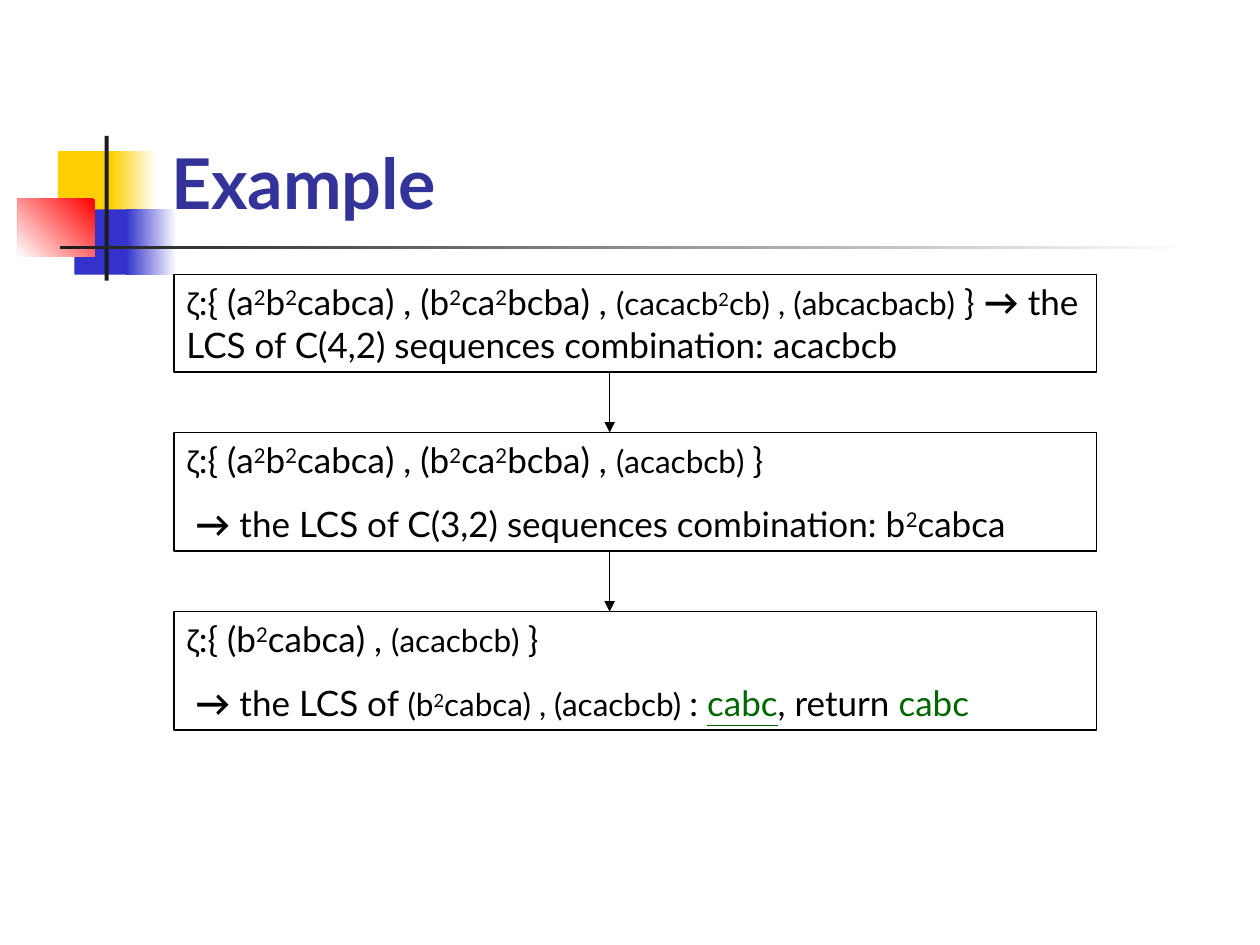
from lxml import etree
from pptx import Presentation
from pptx.dml.color import RGBColor
from pptx.enum.shapes import MSO_CONNECTOR as Conn, MSO_SHAPE as Geo
from pptx.enum.text import MSO_ANCHOR as Anchor
from pptx.oxml.ns import qn
from pptx.util import Cm, Pt

BLACK, GREEN, NAVY = "000000", "006600", "333399"
GOLD, BLUE, RED, DARK, WHITE = "FFCF01", "3333CC", "FF0000", "1C1C1C", "FFFFFF"


def color(code):
    return RGBColor.from_string(code)


class Deck:
    font = "Lato"
    size = 20
    gap = 12.5

    def __init__(self, wide, high):
        self.prs = Presentation()
        self.prs.slide_width, self.prs.slide_height = Cm(wide), Cm(high)
        self.slide = self.prs.slides.add_slide(self.prs.slide_layouts[6])

    def rect(self, x, y, w, h):
        shape = self.slide.shapes.add_shape(Geo.RECTANGLE, Cm(x), Cm(y), Cm(w), Cm(h))
        shape.shadow.inherit = False
        shape.line.fill.background()
        return shape

    def block(self, x, y, w, h, tint):
        fill = self.rect(x, y, w, h).fill
        fill.solid()
        fill.fore_color.rgb = color(tint)

    def fade(self, x, y, w, h, start, end, angle=180):
        fill = self.rect(x, y, w, h).fill
        fill.gradient()
        fill.gradient_angle = angle
        for stop, tint, pos in zip(fill.gradient_stops, (start, end), (0, 1)):
            stop.color.rgb = color(tint)
            stop.position = pos

    def run(self, para, text, size=None, tint=BLACK, bold=False, line=False):
        """Add text, with each ² set as a raised 2."""
        for i, part in enumerate(text.replace("²", "|2|").split("|")):
            if not part:
                continue
            run = para.add_run()
            run.text = part
            font = run.font
            font.name, font.size = self.font, Pt(size or self.size)
            font.bold, font.underline = bold, line
            font.color.rgb = color(tint)
            if i % 2:
                run._r.get_or_add_rPr().set("baseline", "30000")

    def title(self, x, y, w, h, text):
        frame = self.slide.shapes.add_textbox(Cm(x), Cm(y), Cm(w), Cm(h)).text_frame
        frame.word_wrap = True
        frame.vertical_anchor = Anchor.BOTTOM
        self.run(frame.paragraphs[0], text, 40, NAVY, True)

    def box(self, x, y, w, h, lines):
        shape = self.rect(x, y, w, h)
        shape.fill.background()
        shape.line.color.rgb = color(BLACK)
        shape.line.width = Pt(0.75)
        frame = shape.text_frame
        frame.word_wrap = True
        frame.vertical_anchor = Anchor.TOP
        for i, runs in enumerate(lines):
            para = frame.add_paragraph() if i else frame.paragraphs[0]
            para.alignment = 1
            if i:
                para.space_before = Pt(self.gap)
            for text, style in runs:
                self.run(para, text, **style)

    def arrow(self, x, top, end):
        link = self.slide.shapes.add_connector(Conn.STRAIGHT, Cm(x), Cm(top), Cm(x), Cm(end))
        link.line.color.rgb = color(BLACK)
        link.line.width = Pt(0.75)
        etree.SubElement(link.line._get_or_add_ln(), qn("a:tailEnd"), type="triangle")
        etree.SubElement(link._element.spPr, qn("a:effectLst"))


BASE, SMALL, BOLD = {}, {"size": 18}, {"bold": True}
ZETA, ARROW, CLOSE = ("ζ", SMALL), ("→", BOLD), ("}", BASE)
PAIR = (":{ (a²b²cabca) , (b²ca²bcba) , ", BASE)
LAST = ("(acacbcb) ", SMALL)
STEPS = [
    (1.96, [[ZETA, PAIR, ("(cacacb²cb) , (abcacbacb)", SMALL), (" } ", BASE), ARROW,
             (" the LCS of C(4,2) sequences combination: acacbcb", BASE)]]),
    (2.39, [[ZETA, PAIR, LAST, CLOSE],
            [(" ", BASE), ARROW,
             (" the LCS of C(3,2) sequences combination: b²cabca", BASE)]]),
    (2.39, [[ZETA, (":{ (b²cabca) , ", BASE), LAST, CLOSE],
            [(" ", BASE), ARROW, (" the LCS of ", BASE),
             ("(b²cabca) , (acacbcb) ", SMALL), (": ", BASE),
             ("cabc", {"tint": GREEN, "line": True}), (", return ", BASE),
             ("cabc", {"tint": GREEN})]]),
]


def main():
    deck = Deck(25.4, 19.05)
    deck.block(1.17, 3.05, 1.22, 1.32, GOLD)
    deck.fade(2.24, 3.05, 0.91, 1.32, WHITE, GOLD)
    deck.block(1.5, 4.22, 1.17, 1.32, BLUE)
    deck.fade(2.54, 4.22, 1.02, 1.32, WHITE, BLUE)
    deck.fade(0.36, 4.01, 1.55, 1.17, RED, WHITE, 225)
    deck.block(2.11, 2.74, 0.08, 2.92, DARK)
    deck.fade(1.22, 4.95, 22.86, 0.08, WHITE, DARK)
    deck.title(3.2, 0.58, 21.64, 4.06, "Example")

    top, space = 5.54, 1.22
    for i, (high, lines) in enumerate(STEPS):
        if i:
            deck.arrow(12.29, top - space, top)
        deck.box(3.51, top, 18.59, high, lines)
        top += high + space
    deck.prs.save("out.pptx")


if __name__ == "__main__":
    main()
